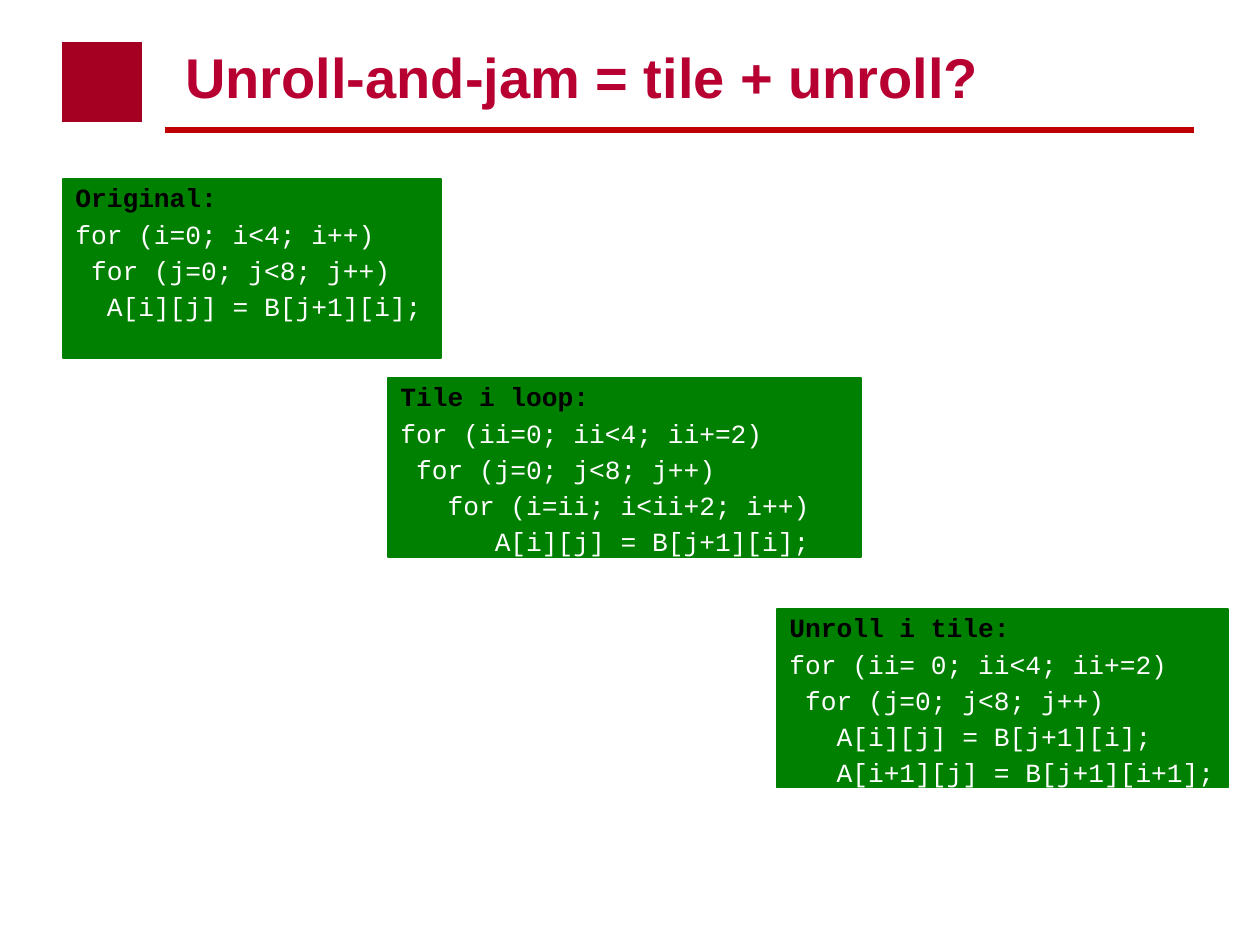
from pptx import Presentation
from pptx.dml.color import RGBColor
from pptx.enum.shapes import MSO_CONNECTOR, MSO_SHAPE
from pptx.enum.text import MSO_ANCHOR, PP_ALIGN
from pptx.util import Emu, Pt
from lxml.etree import SubElement
from pptx.oxml.ns import qn

PX = 914400 // 126
BLACK = RGBColor(0x00, 0x00, 0x00)
WHITE = RGBColor(0xFF, 0xFF, 0xFF)
GREEN = RGBColor(0x00, 0x80, 0x00)
RED = RGBColor(0xC0, 0x00, 0x00)
CRIMSON = RGBColor(0xB7, 0x00, 0x31)
MAROON = RGBColor(0xA5, 0x00, 0x21)


def px(*values):
    return [Emu(v * PX) for v in values]


def add_text(p, text, size, name, color, bold):
    r = p.add_run()
    r.text = text
    for key, value in {"size": Pt(size), "name": name, "bold": bold}.items():
        setattr(r.font, key, value)
    r.font.color.rgb = color


prs = Presentation()
prs.slide_width, prs.slide_height = px(1260, 945)
s = prs.slides.add_slide(prs.slide_layouts[6])

# Header rule
rule = s.shapes.add_connector(MSO_CONNECTOR.STRAIGHT, *px(165, 130, 1194, 130))
rule.line.color.rgb = RED
rule.line.width = Pt(3)
SubElement(rule._element.spPr, qn("a:effectLst"))

# Plain header mark
mark = s.shapes.add_shape(MSO_SHAPE.RECTANGLE, *px(62, 42, 80, 80))
mark.shadow.inherit = False
mark.fill.solid()
mark.fill.fore_color.rgb = MAROON
mark.line.fill.background()

# Title
title = s.shapes.add_textbox(*px(173, 32, 1008, 84))
tf = title.text_frame
tf.word_wrap = True
tf.vertical_anchor = MSO_ANCHOR.BOTTOM
add_text(tf.paragraphs[0], "Unroll-and-jam = tile + unroll?", 32, "Arial", CRIMSON, True)

# Code boxes: left, top, width, heading, code lines
BOX_H = 179
BOXES = [
    (63, 179, 378, "Original:", [
        "for (i=0; i<4; i++)",
        " for (j=0; j<8; j++)",
        "  A[i][j] = B[j+1][i];",
    ]),
    (388, 378, 473, "Tile i loop:", [
        "for (ii=0; ii<4; ii+=2)",
        " for (j=0; j<8; j++)",
        "   for (i=ii; i<ii+2; i++)",
        "      A[i][j] = B[j+1][i];",
    ]),
    (777, 609, 451, "Unroll i tile:", [
        "for (ii= 0; ii<4; ii+=2)",
        " for (j=0; j<8; j++)",
        "   A[i][j] = B[j+1][i];",
        "   A[i+1][j] = B[j+1][i+1];",
    ]),
]
for left, top, width, heading, code in BOXES:
    sp = s.shapes.add_shape(MSO_SHAPE.RECTANGLE, *px(left, top, width, BOX_H))
    sp.shadow.inherit = False
    sp.fill.solid()
    sp.fill.fore_color.rgb = GREEN
    sp.line.color.rgb = GREEN
    sp.line.width = Pt(0.75)
    tf = sp.text_frame
    tf.word_wrap = True
    tf.vertical_anchor = MSO_ANCHOR.TOP
    for i, text in enumerate([heading] + code):
        p = tf.paragraphs[0] if i == 0 else tf.add_paragraph()
        p.alignment = PP_ALIGN.LEFT
        p.line_spacing = 0.9
        if i:
            p.space_before = Pt(4.5)
        add_text(p, text, 15, "Courier New", WHITE if i else BLACK, i == 0)

prs.save("out.pptx")
